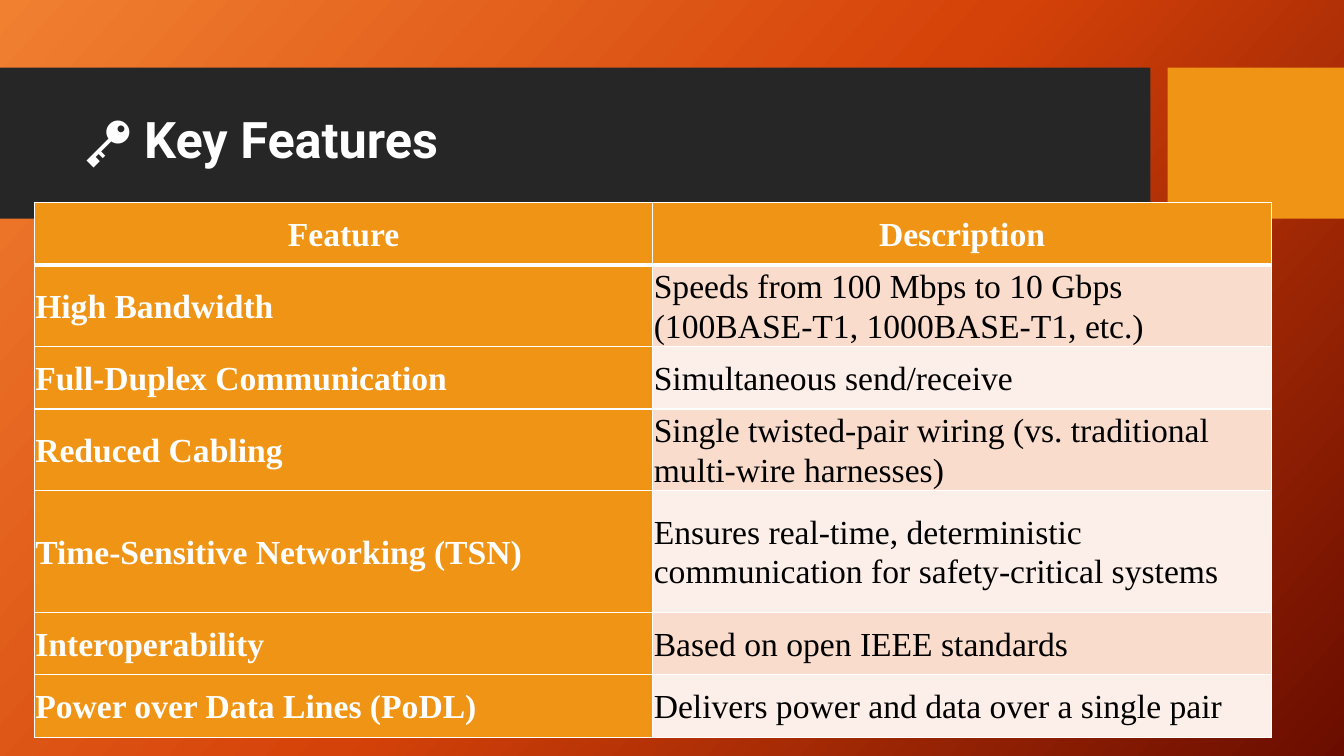
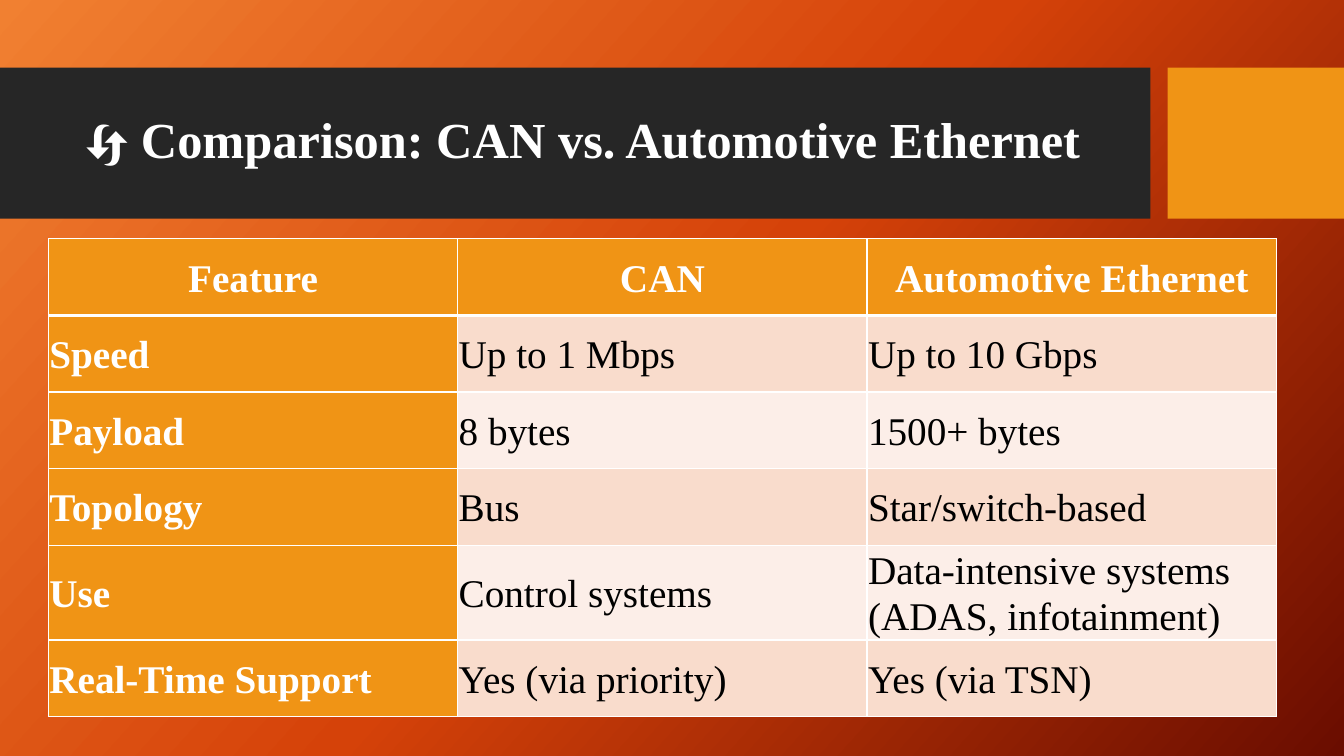
"""Build two table slides about Automotive Ethernet."""
from pptx import Presentation
from pptx.dml.color import RGBColor
from pptx.enum import shapes, text
from pptx.oxml import parse_xml
from pptx.oxml.ns import nsdecls
from pptx.util import Inches, Pt

WHITE, BLACK, DARK, ORANGE = "FFFFFF", "000000", "262626", "F09415"
STRIPES = ("F9DCCC", "FCEEE8")
GRADIENT = ((0, "F18031"), (50, "D54209"), (100, "6A0D00"))
GRADIENT_ANGLE = 42
BANDS = (((0, 0.67, 11.41, 1.5), DARK), ((11.58, 0.67, 1.75, 1.5), ORANGE))
TITLE_BOX = (0.74, 0.82, 10.51, 1.18)
SANS, SERIF = "Roboto", "Times New Roman"
CELL_INSET = 0.01

FEATURES = (
    ("Feature", "Description"),
    ("High Bandwidth", "Speeds from 100 Mbps to 10 Gbps (100BASE-T1, 1000BASE-T1, etc.)"),
    ("Full-Duplex Communication", "Simultaneous send/receive"),
    ("Reduced Cabling", "Single twisted-pair wiring (vs. traditional multi-wire harnesses)"),
    ("Time-Sensitive Networking (TSN)",
     "Ensures real-time, deterministic communication for safety-critical systems"),
    ("Interoperability", "Based on open IEEE standards"),
    ("Power over Data Lines (PoDL)", "Delivers power and data over a single pair"),
)
COMPARISON = (
    ("Feature", "CAN", "Automotive Ethernet"),
    ("Speed", "Up to 1 Mbps", "Up to 10 Gbps"),
    ("Payload", "8 bytes", "1500+ bytes"),
    ("Topology", "Bus", "Star/switch-based"),
    ("Use", "Control systems", "Data-intensive systems (ADAS, infotainment)"),
    ("Real-Time Support", "Yes (via priority)", "Yes (via TSN)"),
)


def colour(value):
    """Turn a hex string into a colour."""
    return RGBColor.from_string(value)


def add_span(para, words, font, size, ink, bold):
    """Append one formatted run to a paragraph."""
    span = para.add_run()
    span.text = words
    span.font.name = font
    span.font.size = Pt(size)
    span.font.bold = bold
    span.font.color.rgb = colour(ink)


def set_background(layout):
    """Give the layout its diagonal gradient."""
    stops = "".join(
        f'<a:gs pos="{place * 1000}"><a:srgbClr val="{value}"/></a:gs>'
        for place, value in GRADIENT)
    layout.element.cSld.insert(0, parse_xml(
        f'<p:bg {nsdecls("p", "a")}><p:bgPr><a:gradFill rotWithShape="1">'
        f'<a:gsLst>{stops}</a:gsLst><a:lin ang="{GRADIENT_ANGLE * 60000}" scaled="0"/>'
        '</a:gradFill><a:effectLst/></p:bgPr></p:bg>'))


def add_bands(layout, page):
    """Draw the title bands and move them behind everything on the layout."""
    for index, (box, fill) in enumerate(BANDS):
        band = page.shapes.add_shape(
            shapes.MSO_SHAPE.RECTANGLE, *[Inches(length) for length in box])
        band.shadow.inherit = False
        band.fill.solid()
        band.fill.fore_color.rgb = colour(fill)
        band.line.fill.background()
        band.element.nvSpPr.cNvPr.set("id", str(100 + index))
        layout.element.cSld.spTree.insert(2 + index, band.element)


def set_title(page, box, spans):
    """Place the title in its box and fill it run by run."""
    title = page.shapes.title
    title.left, title.top, title.width, title.height = [Inches(length) for length in box]
    frame = title.text_frame
    frame.word_wrap = True
    frame.auto_size = text.MSO_AUTO_SIZE.NONE
    frame.vertical_anchor = text.MSO_ANCHOR.MIDDLE
    para = frame.paragraphs[0]
    para.alignment = text.PP_ALIGN.LEFT
    para.line_spacing = 0.9
    for words, font, size in spans:
        add_span(para, words, font, size, WHITE, True)


def set_borders(cell, **widths):
    """Draw white cell borders of the given widths in points."""
    properties = cell._tc.get_or_add_tcPr()
    for index, side in enumerate("LRTB"):
        width = Pt(widths.get(side, 1))
        properties.insert(index, parse_xml(
            f'<a:ln{side} {nsdecls("a")} w="{width}"><a:solidFill>'
            f'<a:srgbClr val="{WHITE}"/></a:solidFill></a:ln{side}>'))


def format_cell(cell, words, row, column, size):
    """Format a cell as header, row label or striped body."""
    header = row == 0
    strong = header or column == 0
    cell.fill.solid()
    cell.fill.fore_color.rgb = colour(ORANGE if strong else STRIPES[(row - 1) % 2])
    cell.margin_left = cell.margin_right = Inches(CELL_INSET)
    cell.margin_top = cell.margin_bottom = Inches(CELL_INSET)
    cell.vertical_anchor = text.MSO_ANCHOR.MIDDLE
    para = cell.text_frame.paragraphs[0]
    para.alignment = text.PP_ALIGN.CENTER if header else text.PP_ALIGN.LEFT
    para.line_spacing = 1.07
    add_span(para, words, SERIF, size, WHITE if strong else BLACK, strong)
    set_borders(cell, T=3 if row == 1 else 1, B=3 if header else 1)


def add_grid(page, box, rows, size, row_height, tall_rows):
    """Add a table with equal columns and mostly equal rows."""
    left, top, width, height = [Inches(length) for length in box]
    grid = page.shapes.add_table(len(rows), len(rows[0]), left, top, width, height).table
    for row, entries in enumerate(rows):
        grid.rows[row].height = Inches(tall_rows.get(row, row_height))
        for column, words in enumerate(entries):
            format_cell(grid.cell(row, column), words, row, column, size)


def add_table_page(page, title, box, rows, size, row_height, tall_rows):
    """Fill a page with a title and a table."""
    set_title(page, TITLE_BOX, title)
    add_grid(page, box, rows, size, row_height, tall_rows)


def main():
    """Build and save the deck."""
    deck = Presentation()
    deck.slide_width, deck.slide_height = Inches(13.33), Inches(7.5)
    layout = deck.slide_layouts[5]
    features, comparison = [deck.slides.add_slide(layout) for _ in range(2)]
    set_background(layout)
    add_bands(layout, features)
    add_table_page(features, [("🔑 Key Features", SANS, 36)],
                   (0.34, 2.01, 12.27, 5.38), FEATURES, 24, 0.62, {4: 1.21})
    add_table_page(comparison,
                   [("🔄 ", SANS, 32.4), ("Comparison: CAN vs. Automotive Ethernet", SERIF, 36)],
                   (0.48, 2.37, 12.18, 4.78), COMPARISON, 28, 0.76, {})
    deck.save("out.pptx")


if __name__ == "__main__":
    main()
